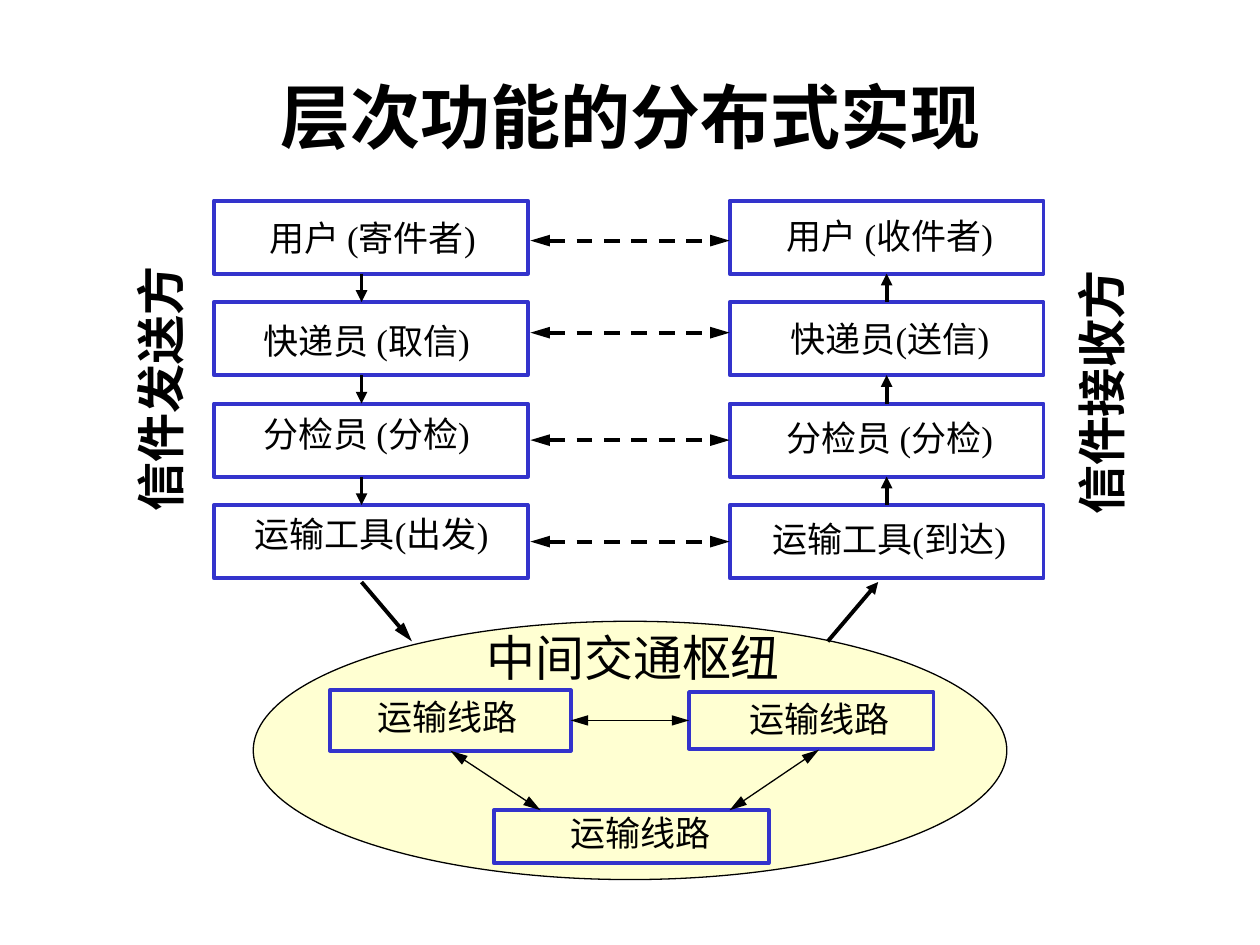
import pptx
import pptx.util
import pptx.dml.color
import pptx.enum.dml
import pptx.enum.shapes
import pptx.enum.text
import pptx.oxml
import pptx.oxml.ns

Pt = pptx.util.Pt
SHAPE = pptx.enum.shapes.MSO_SHAPE
ALIGN = pptx.enum.text.PP_ALIGN
ANCHOR = pptx.enum.text.MSO_ANCHOR
FIT = pptx.enum.text.MSO_AUTO_SIZE.SHAPE_TO_FIT_TEXT
NS = pptx.oxml.ns.nsdecls("a")

COLORS = {"ink": "000000", "box": "3333CC", "hub": "FFFF66"}
TOP, LEFT, BOTTOM, RIGHT = range(4)


def rgb(name):
    return pptx.dml.color.RGBColor.from_string(COLORS[name])


def write(tf, text, size=20, font="Times New Roman", bold=False,
          align=ALIGN.CENTER, spacing=None):
    """Put one formatted paragraph in a text frame."""
    p = tf.paragraphs[0]
    p.alignment = align
    p.line_spacing = spacing
    r = p.add_run()
    r.text = text
    r.font.size = Pt(size)
    r.font.name = font
    r.font.bold = bold
    r.font.color.rgb = rgb("ink")


class Board:
    """The current slide and the style of its elements."""

    thick = 2.25
    thin = 0.75

    def __init__(self, prs):
        self.s = prs.slides.add_slide(prs.slide_layouts[6])

    def shape(self, kind, x, y, w, h, line, width):
        sp = self.s.shapes.add_shape(kind, Pt(x), Pt(y), Pt(w), Pt(h))
        sp.shadow.inherit = False
        sp.fill.background()
        sp.line.color.rgb = rgb(line)
        sp.line.width = Pt(width)
        return sp

    def box(self, x, y, w, h):
        return self.shape(SHAPE.RECTANGLE, x, y, w, h, "box", self.thick)

    def hub(self, x, y, w, h):
        sp = self.shape(SHAPE.OVAL, x, y, w, h, "ink", self.thin)
        sp.fill.solid()
        sp.fill.fore_color.rgb = rgb("hub")
        clr = sp.fill._xPr.solidFill[0]
        clr.append(pptx.oxml.parse_xml(f'<a:alpha {NS} val="29000"/>'))

    def text(self, text, x, y, w, h, wrap=True, rotation=0,
             anchor=ANCHOR.TOP, **fmt):
        sp = self.s.shapes.add_textbox(Pt(x), Pt(y), Pt(w), Pt(h))
        sp.rotation = rotation
        tf = sp.text_frame
        tf.word_wrap = wrap
        if not wrap:
            tf.auto_size = FIT
        tf.vertical_anchor = anchor
        write(tf, text, **fmt)

    def arrow(self, x1, y1, x2, y2, width=thick, dash=False, both=False,
              length="med", begin=None, end=None):
        sp = self.s.shapes.add_connector(
            pptx.enum.shapes.MSO_CONNECTOR.STRAIGHT,
            Pt(x1), Pt(y1), Pt(x2), Pt(y2))
        if begin:
            sp.begin_connect(*begin)
        if end:
            sp.end_connect(*end)
        sp.line.color.rgb = rgb("ink")
        sp.line.width = Pt(width)
        if dash:
            sp.line.dash_style = pptx.enum.dml.MSO_LINE.DASH
        ln = sp.line._get_or_add_ln()
        for tag in ("headEnd", "tailEnd") if both else ("tailEnd",):
            ln.append(pptx.oxml.parse_xml(
                f'<a:{tag} {NS} type="triangle" w="med" len="{length}"/>'))
        sp._element.spPr.append(pptx.oxml.parse_xml(f"<a:effectLst {NS}/>"))


def main():
    prs = pptx.Presentation()
    prs.slide_width, prs.slide_height = Pt(720), Pt(540)
    b = Board(prs)

    # Title and side labels
    b.text("层次功能的分布式实现", 22.3, 37.4, 676, 56.9, size=40, font="Arial",
           bold=True, anchor=ANCHOR.MIDDLE)
    b.text("信件发送方", -13, 201.6, 209.5, 41, rotation=270, size=28,
           font="Arial", bold=True)
    b.text("信件接收方", 521.3, 203.8, 215.3, 41, rotation=270, size=28,
           font="Comic Neue", bold=True)

    # Transport hub
    b.hub(144.7, 355, 430.6, 147.6)
    b.text("中间交通枢纽", 184.3, 355, 355, 41, size=28, font="Comic Neue")

    # Layer boxes: sender on the left, receiver on the right
    box_w, box_h, pitch = 179.3, 41.8, 58
    tops = [114.6 + pitch * i for i in range(4)]
    senders_x, receivers_x = 122.2, 417
    for y in tops:
        b.box(senders_x, y, box_w, box_h)
    receivers = [b.box(receivers_x, y, box_w, box_h) for y in tops]

    # Layer names: text, x, y, width, wrap, line spacing
    for text, x, y, w, wrap, spacing in (
            ("用户 (寄件者)", 139, 120.2, 147.6, True, None),
            ("快递员 (取信)", 133.2, 179.3, 152.6, True, None),
            ("分检员 (分检)", 133.2, 234.7, 152.6, True, 0.9),
            ("运输工具(出发)", 127.4, 292.3, 169.9, True, 0.9),
            ("用户 (收件者)", 433, 121.7, 151, False, 0.9),
            ("快递员(送信)", 433, 180.7, 151, False, 0.9),
            ("分检员 (分检)", 433, 234.7, 151, False, None),
            ("运输工具(到达)", 423, 292.3, 170, False, None)):
        b.text(text, x, y, w, 28.8 if spacing else 31.7, wrap=wrap,
               spacing=spacing)

    # Peer links; the lower two meet the middle of the receiver's side
    for i, y in enumerate((137.5, 190.1, 251.5, 309.5)):
        b.arrow(303.1, y, receivers_x, y, dash=True, both=True, length="lg",
                end=(receivers[i], LEFT) if i > 1 else None)

    # Down through the sender's layers, up through the receiver's
    for i in range(3):
        y = tops[i] + box_h
        b.arrow(206.6, y, 206.6, tops[i + 1])
        b.arrow(506.6, tops[i + 1], 506.6, y,
                begin=(receivers[i + 1], TOP), end=(receivers[i], BOTTOM))

    # Into and out of the hub
    b.arrow(206.6, 332.6, 235.4, 366.5, length="lg")
    b.arrow(473, 366.5, 501.8, 332.6)

    # Transport routes
    route_1 = b.box(188.6, 394.4, 137.5, 34.6)
    route_2 = b.box(393.8, 395.5, 139.7, 32.4)
    b.box(282.2, 463, 157, 30.2)
    for x, y, align in ((208.8, 393.8, ALIGN.CENTER),
                        (421.2, 395.3, ALIGN.LEFT),
                        (319, 460.1, ALIGN.LEFT)):
        b.text("运输线路", x, y, 94.3, 31.7, wrap=False, align=align)

    # Links between routes
    link = dict(width=b.thin, both=True, length="lg")
    b.arrow(393.8, 411.7, 326.1, 411.7, begin=(route_2, LEFT),
            end=(route_1, RIGHT), **link)
    b.arrow(257.4, 429, 308.9, 463, begin=(route_1, BOTTOM), **link)
    b.arrow(416.9, 463, 468, 428.4, **link)

    prs.save("out.pptx")


if __name__ == "__main__":
    main()
